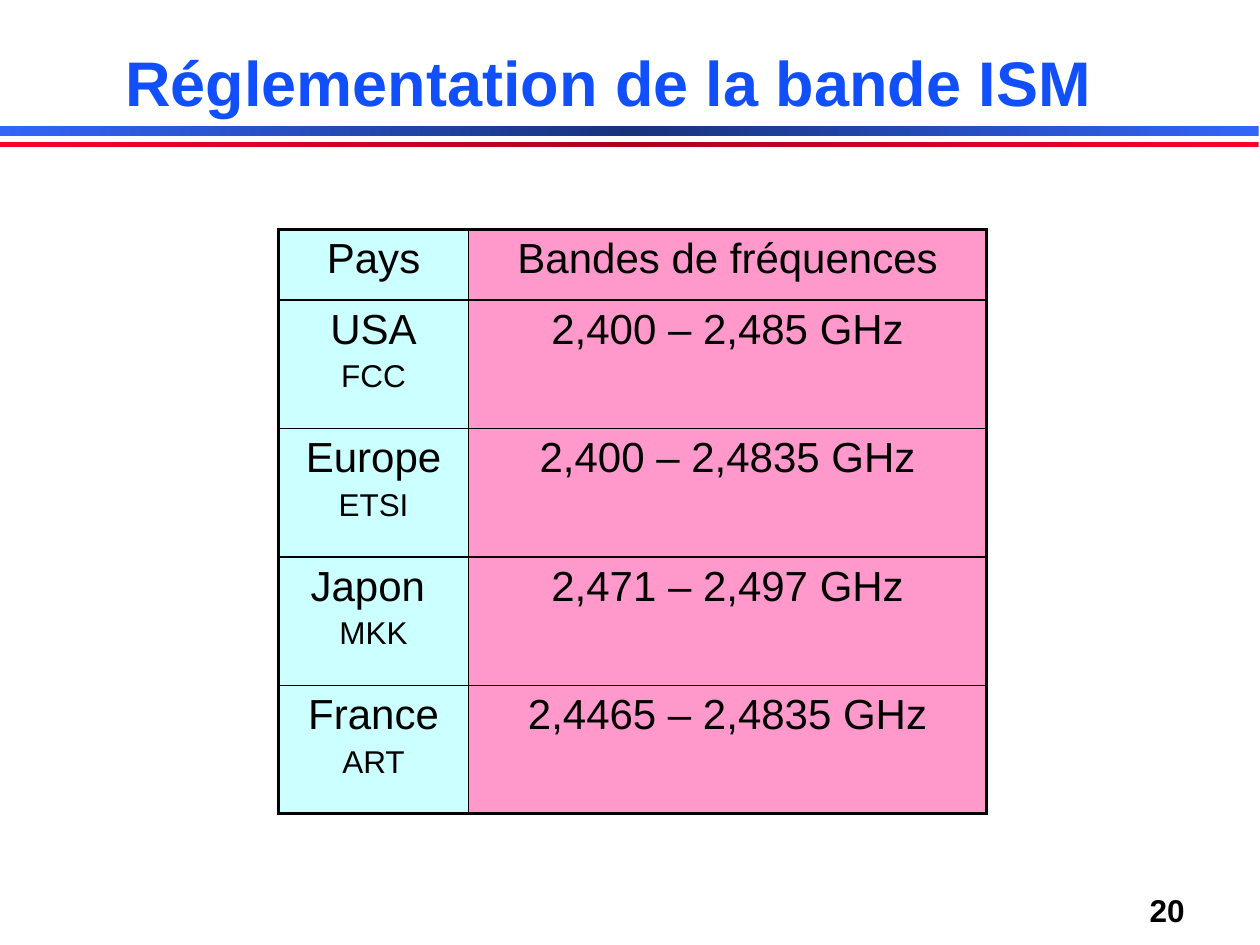
from copy import deepcopy

from lxml import etree
from pptx import Presentation
from pptx import util as u
from pptx.dml.color import RGBColor
from pptx.enum import shapes, text
from pptx.oxml.ns import qn

BLACK = RGBColor(0x00, 0x00, 0x00)
TITLE = RGBColor(0x11, 0x4F, 0xFB)
BLUE = RGBColor(0x33, 0x65, 0xFB)
NAVY = RGBColor(0x19, 0x32, 0x7C)
RED = RGBColor(0xFC, 0x01, 0x28)
DARK_RED = RGBColor(0xAF, 0x00, 0x1B)
CYAN = RGBColor(0xCC, 0xFF, 0xFF)
PINK = RGBColor(0xFF, 0x99, 0xCC)

FONT = "Arial"
THIN, THICK = 1, 2.25
ROWS = [
    ("Pays", "Bandes de fréquences"),
    ("USA\nFCC", "2,400 – 2,485 GHz"),
    ("Europe\nETSI", "2,400 – 2,4835 GHz"),
    ("Japon \nMKK", "2,471 – 2,497 GHz"),
    ("France\nART", "2,4465 – 2,4835 GHz"),
]


def style(para, size, color, bold, align):
    para.alignment = align
    for run in para.runs:
        font = run.font
        font.name, font.size, font.bold = FONT, u.Pt(size), bold
        font.color.rgb = color


def add_bar(slide, top, height, edge, middle):
    bar = slide.shapes.add_shape(
        shapes.MSO_SHAPE.RECTANGLE,
        u.Inches(0), u.Inches(top), u.Inches(9.99), u.Inches(height))
    bar.shadow.inherit = False
    bar.line.fill.background()
    bar.fill.gradient()
    bar.fill.gradient_angle = 0
    # A third stop makes the colour run from edge to middle and back
    first = bar.fill._xPr.find(".//" + qn("a:gs"))
    first.addnext(deepcopy(first))
    for stop, place, color in zip(bar.fill.gradient_stops, (0, 0.5, 1),
                                  (edge, middle, edge)):
        stop.position = place
        stop.color.rgb = color


def add_label(slide, words, box, size, color, align, anchor, wrap):
    label = slide.shapes.add_textbox(*map(u.Inches, box))
    frame = label.text_frame
    frame.text = words
    frame.word_wrap = wrap
    frame.vertical_anchor = anchor
    style(frame.paragraphs[0], size, color, True, align)
    return frame.paragraphs[0]


def set_edge(cell, side, width):
    props = cell._tc.get_or_add_tcPr()
    line = etree.SubElement(props, qn("a:ln" + side), w=str(u.Pt(width)))
    fill = etree.SubElement(line, qn("a:solidFill"))
    etree.SubElement(fill, qn("a:srgbClr"), val=str(BLACK))


def fill_cell(cell, words, color):
    cell.fill.solid()
    cell.fill.fore_color.rgb = color
    cell.text_frame.text = words
    for para, size in zip(cell.text_frame.paragraphs, (24, 18)):
        style(para, size, BLACK, False, text.PP_ALIGN.CENTER)
        para.space_before = u.Pt(size * 0.2)


def add_bands(slide):
    last = len(ROWS) - 1
    table = slide.shapes.add_table(
        len(ROWS), 2, u.Inches(2.21), u.Inches(1.82),
        u.Inches(5.62), u.Inches(4.64)).table
    table.first_row = table.horz_banding = False
    for col, width in zip(table.columns, (1.51, 4.11)):
        col.width = u.Inches(width)
    for r, row in enumerate(ROWS):
        table.rows[r].height = u.Inches(1.02 if r else 0.56)
        for c, words in enumerate(row):
            cell = table.cell(r, c)
            # Thick lines on the outside only
            outer = {"L": c == 0, "R": c == 1, "T": r == 0, "B": r == last}
            for side, thick in outer.items():
                set_edge(cell, side, THICK if thick else THIN)
            fill_cell(cell, words, (CYAN, PINK)[c])


def main():
    deck = Presentation()
    deck.slide_width, deck.slide_height = u.Inches(10), u.Inches(7.5)
    slide = deck.slides.add_slide(deck.slide_layouts[6])

    # Bars under the title
    add_bar(slide, 1, 0.08, BLUE, NAVY)
    add_bar(slide, 1.13, 0.04, RED, DARK_RED)

    # Page number and title
    add_label(slide, "20", (8.09, 7.02, 1.41, 0.4), 18, BLACK,
              text.PP_ALIGN.RIGHT, text.MSO_ANCHOR.TOP, False)
    title = add_label(slide, "Réglementation de la bande ISM",
                      (0.58, 0.25, 8.5, 0.75), 36, TITLE,
                      text.PP_ALIGN.CENTER, text.MSO_ANCHOR.BOTTOM, True)
    title.line_spacing = 0.9

    # Frequency bands by country
    add_bands(slide)
    deck.save("out.pptx")


if __name__ == "__main__":
    main()
